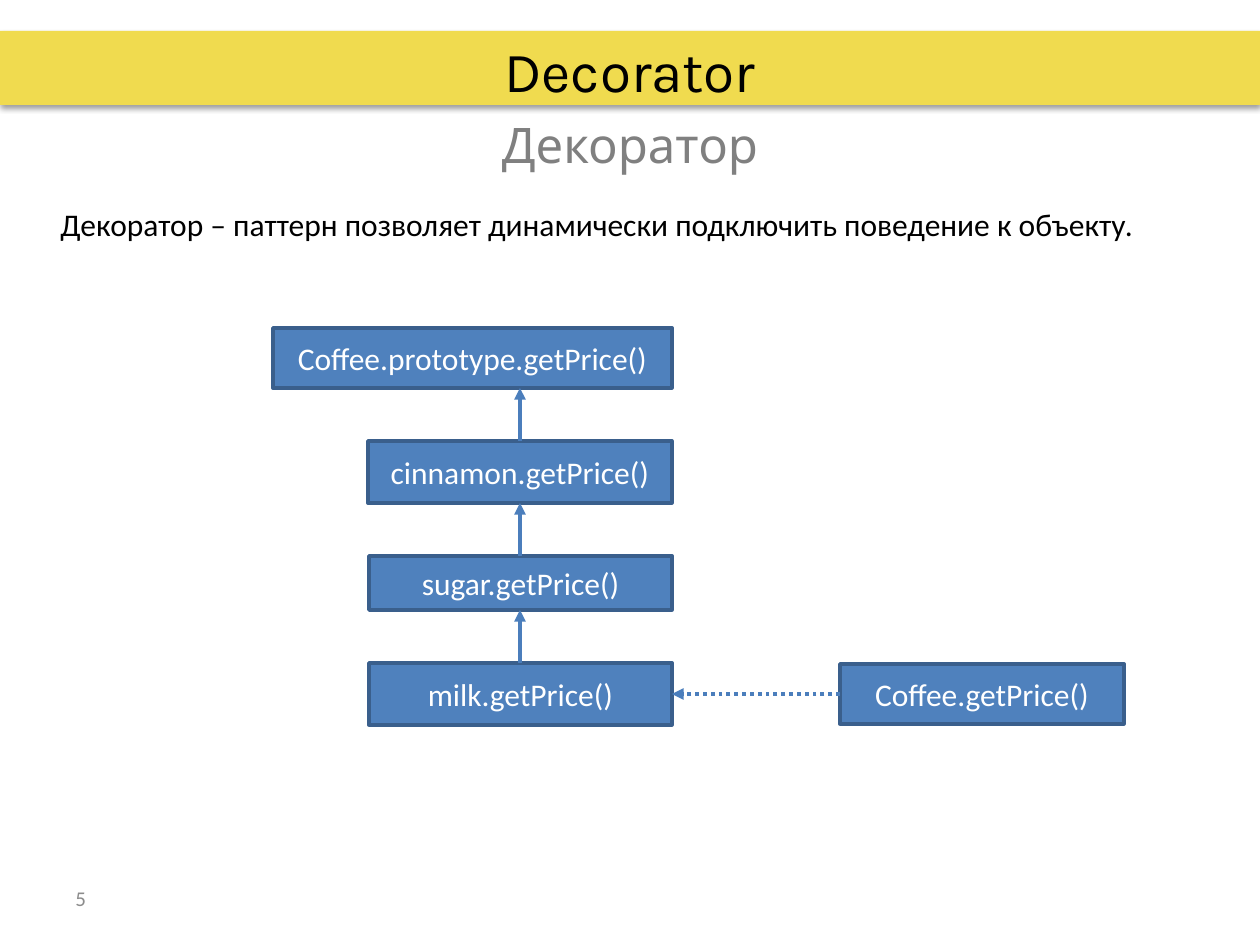
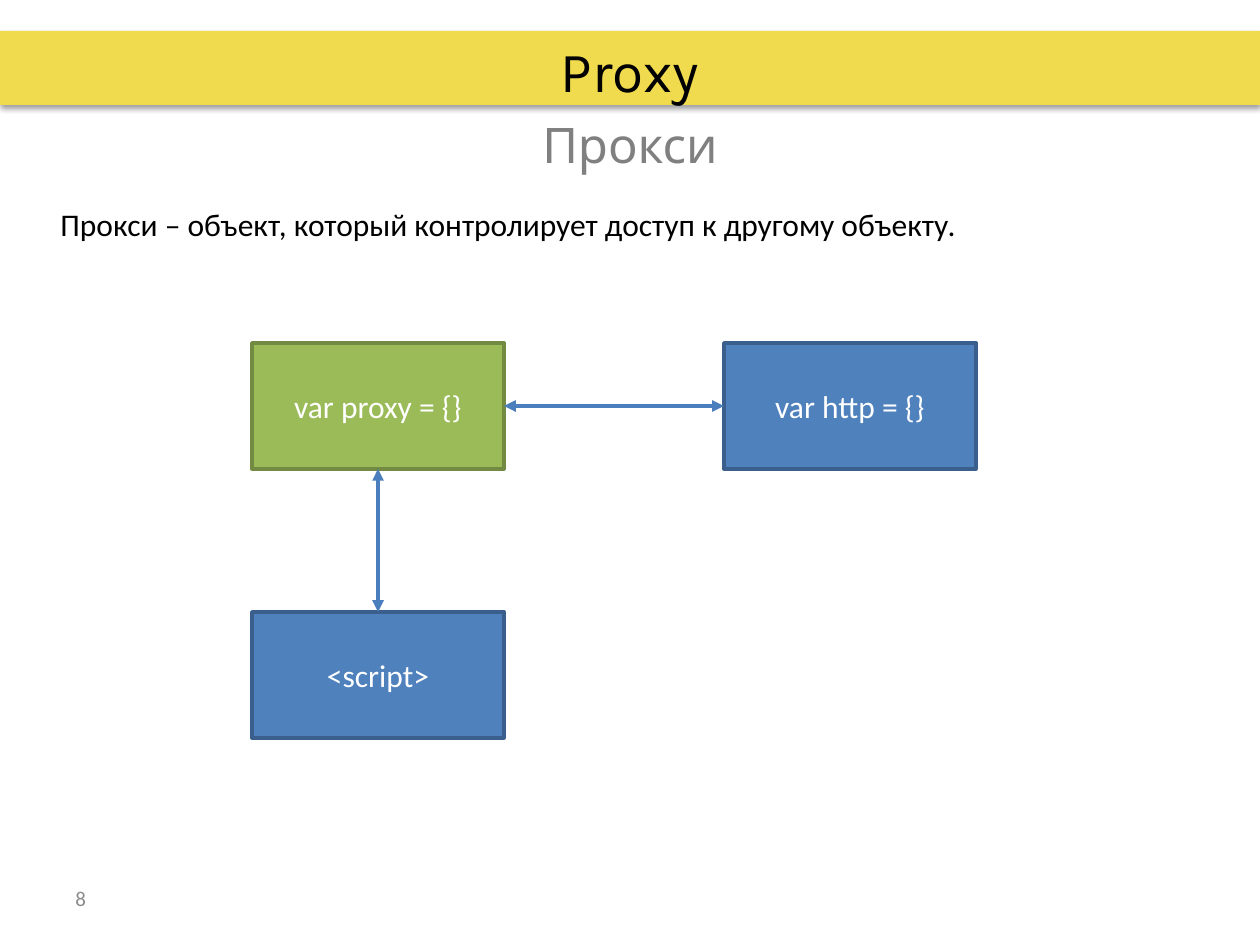
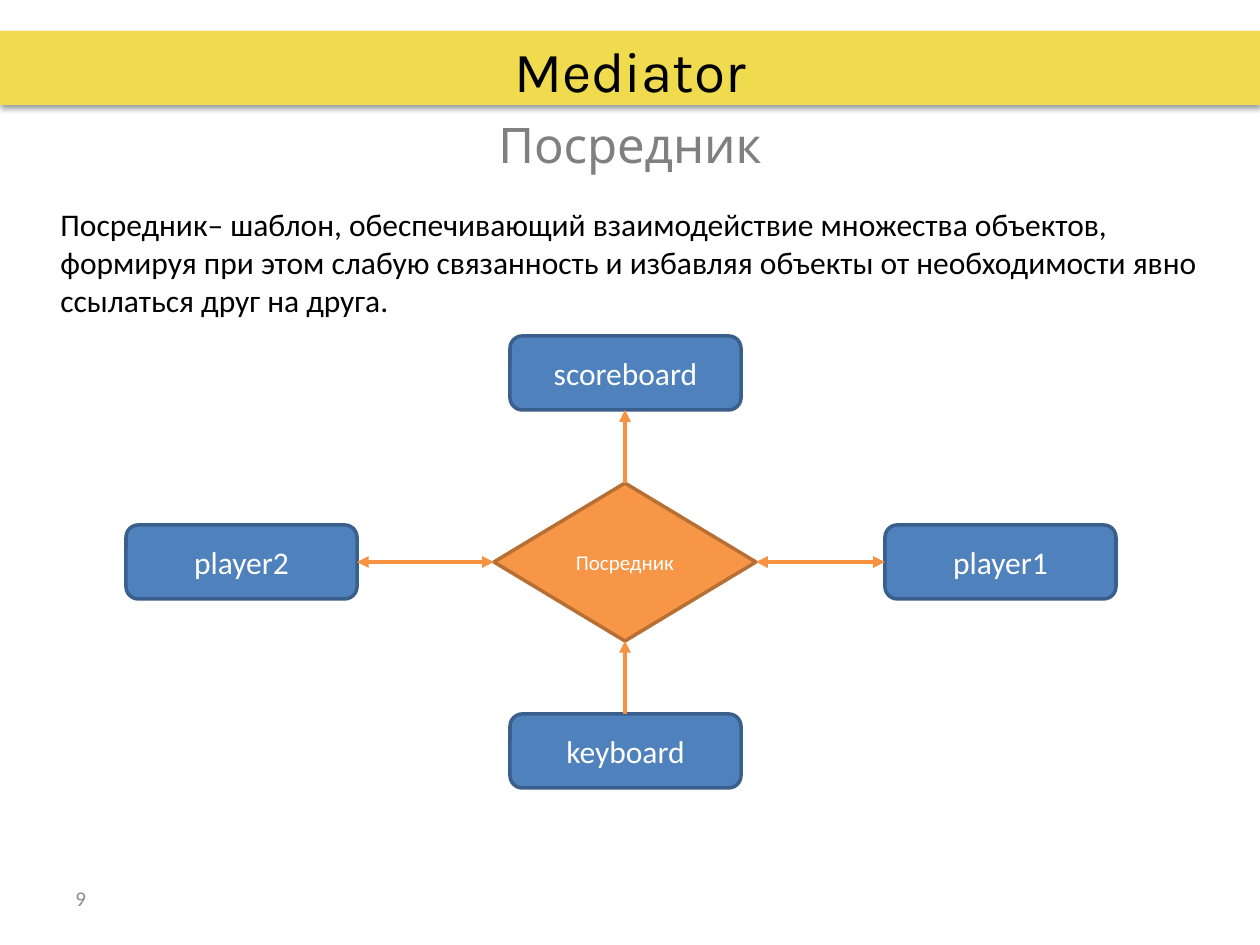
import pptx
import pptx.dml.color
import pptx.enum.dml
import pptx.enum.shapes
import pptx.enum.text
import pptx.oxml.ns
import pptx.util
from lxml import etree

SCALE = 914400 / 126
W, H = 1260, 945
COLORS = {
    "band": "F0DB4F",
    "black": "000000",
    "white": "FFFFFF",
    "subtitle": "808080",
    "number": "8C8C8C",
    "blue": "4F81BD",
    "blue_edge": "3A5F8C",
    "blue_link": "4B7EBC",
    "green": "9BBB59",
    "green_edge": "738A42",
    "orange": "F79646",
    "orange_edge": "B76F34",
    "orange_link": "F69240",
}
SHAPES = pptx.enum.shapes.MSO_SHAPE
ALIGN = pptx.enum.text.PP_ALIGN
ANCHOR = pptx.enum.text.MSO_ANCHOR


def emu(*lengths):
    return [pptx.util.Emu(round(n * SCALE)) for n in lengths]


def rgb(name):
    return pptx.dml.color.RGBColor.from_string(COLORS[name])


def add_xml(parent, tag, **attrs):
    return etree.SubElement(parent, pptx.oxml.ns.qn(tag), attrs)


class Deck:
    def __init__(self):
        self.prs = pptx.Presentation()
        self.prs.slide_width, self.prs.slide_height = emu(W, H)
        self.s = None

    def slide(self, number, title, subtitle, definition):
        self.s = self.prs.slides.add_slide(self.prs.slide_layouts[6])
        self.text(63, 873, 294, 50, str(number), 12, "number")
        self.band(0, 31, W, 74)
        for top, heading, size, color in ((31, title, 32.4, "black"),
                                          (105, subtitle, 28, "subtitle")):
            self.text(63, top, 1134, 78, heading, size, color, "Karla", ALIGN.CENTER)
        self.text(48, 199, 1165, 630, definition, 18, "black", anchor=ANCHOR.TOP)

    def fill_text(self, sp, text, size, color, font="Calibri", align=ALIGN.LEFT,
                  anchor=ANCHOR.MIDDLE):
        tf = sp.text_frame
        tf.word_wrap = True
        tf.vertical_anchor = anchor
        p = tf.paragraphs[0]
        p.alignment = align
        r = p.add_run()
        r.text = text
        r.font.size = pptx.util.Pt(size)
        r.font.name = font
        r.font.color.rgb = rgb(color)

    def text(self, x, y, w, h, text, size, color, font="Calibri", align=ALIGN.LEFT,
             anchor=ANCHOR.MIDDLE):
        sp = self.s.shapes.add_textbox(*emu(x, y, w, h))
        self.fill_text(sp, text, size, color, font, align, anchor)

    def shape(self, kind, x, y, w, h, fill):
        sp = self.s.shapes.add_shape(kind, *emu(x, y, w, h))
        sp.fill.solid()
        sp.fill.fore_color.rgb = rgb(fill)
        sp.shadow.inherit = False
        return sp

    def band(self, x, y, w, h):
        sp = self.shape(SHAPES.RECTANGLE, x, y, w, h, "band")
        sp.line.fill.background()
        effects = sp._element.spPr.find(pptx.oxml.ns.qn("a:effectLst"))
        shadow = add_xml(effects, "a:outerShdw", blurRad="40000", dist="20000",
                         dir="5400000", rotWithShape="0")
        color = add_xml(shadow, "a:srgbClr", val=COLORS["black"])
        add_xml(color, "a:alpha", val="38000")

    def box(self, x, y, w, h, text, fill="blue", kind=SHAPES.RECTANGLE, size=18):
        sp = self.shape(kind, x, y, w, h, fill)
        sp.line.color.rgb = rgb(fill + "_edge")
        sp.line.width = pptx.util.Pt(2)
        self.fill_text(sp, text, size, "white", align=ALIGN.CENTER)

    def arrow(self, x1, y1, x2, y2, color="blue_link", both=False, dotted=False):
        cxn = self.s.shapes.add_connector(
            pptx.enum.shapes.MSO_CONNECTOR.STRAIGHT, *emu(x1, y1, x2, y2))
        cxn.line.color.rgb = rgb(color)
        cxn.line.width = pptx.util.Pt(2.25)
        if dotted:
            cxn.line.dash_style = pptx.enum.dml.MSO_LINE.ROUND_DOT
        spPr = cxn._element.spPr
        ln = spPr.find(pptx.oxml.ns.qn("a:ln"))
        if both:
            add_xml(ln, "a:headEnd", type="triangle")
        add_xml(ln, "a:tailEnd", type="triangle")
        add_xml(spPr, "a:effectLst")


def decorator(deck):
    deck.slide(5, "Decorator", "Декоратор",
               "Декоратор – паттерн позволяет динамически подключить поведение к объекту.")
    right, axis = 672, 520
    chain = [
        ("Coffee.prototype.getPrice()", 328, 399, 60),
        ("cinnamon.getPrice()", 441, 304, 62),
        ("sugar.getPrice()", 556, 303, 54),
        ("milk.getPrice()", 663, 303, 62),
    ]
    for name, top, width, height in chain:
        deck.box(right - width, top, width, height, name)
    for (_, top, _, height), (_, below, _, _) in zip(chain, chain[1:]):
        deck.arrow(axis, below, axis, top + height)
    deck.box(840, 664, 284, 60, "Coffee.getPrice()")
    deck.arrow(840, 694, right, 694, dotted=True)


def proxy(deck):
    deck.slide(8, "Proxy", "Прокси",
               "Прокси – объект, который контролирует доступ к другому объекту.")
    w, h = 252, 126
    left, right, top, bottom = 252, 724, 343, 612
    deck.box(right, top, w, h, "var http = {}")
    deck.box(left, top, w, h, "var proxy = {}", "green")
    deck.box(left, bottom, w, h, "<script>")
    deck.arrow(left + w // 2, bottom, left + w // 2, top + h, both=True)
    deck.arrow(left + w, top + h // 2, right, top + h // 2, both=True)


def mediator(deck):
    deck.slide(9, "Mediator", "Посредник",
               "Посредник– шаблон, обеспечивающий взаимодействие множества объектов, "
               "формируя при этом слабую связанность и избавляя объекты от "
               "необходимости явно ссылаться друг на друга.")
    cx, cy = 625, 562
    half_w, half_h = 131, 79
    w, h, pitch = 231, 74, 189
    middle = cy - h // 2
    player1, player2 = 885, 126
    deck.box(cx - half_w, cy - half_h, 2 * half_w, 2 * half_h, "Посредник",
             "orange", SHAPES.DIAMOND, 12)
    for name, x, y in (("scoreboard", cx - w // 2, middle - pitch),
                       ("player1", player1, middle),
                       ("player2", player2, middle),
                       ("keyboard", cx - w // 2, middle + pitch)):
        deck.box(x, y, w, h, name, kind=SHAPES.ROUNDED_RECTANGLE)
    for x1, y1, x2, y2, both in (
            (cx, cy - half_h, cx, middle - pitch + h, False),
            (cx, middle + pitch, cx, cy + half_h, False),
            (cx + half_w, cy, player1, cy, True),
            (cx - half_w, cy, player2 + w, cy, True)):
        deck.arrow(x1, y1, x2, y2, "orange_link", both)


def main():
    deck = Deck()
    decorator(deck)
    proxy(deck)
    mediator(deck)
    deck.prs.save("out.pptx")


if __name__ == "__main__":
    main()
